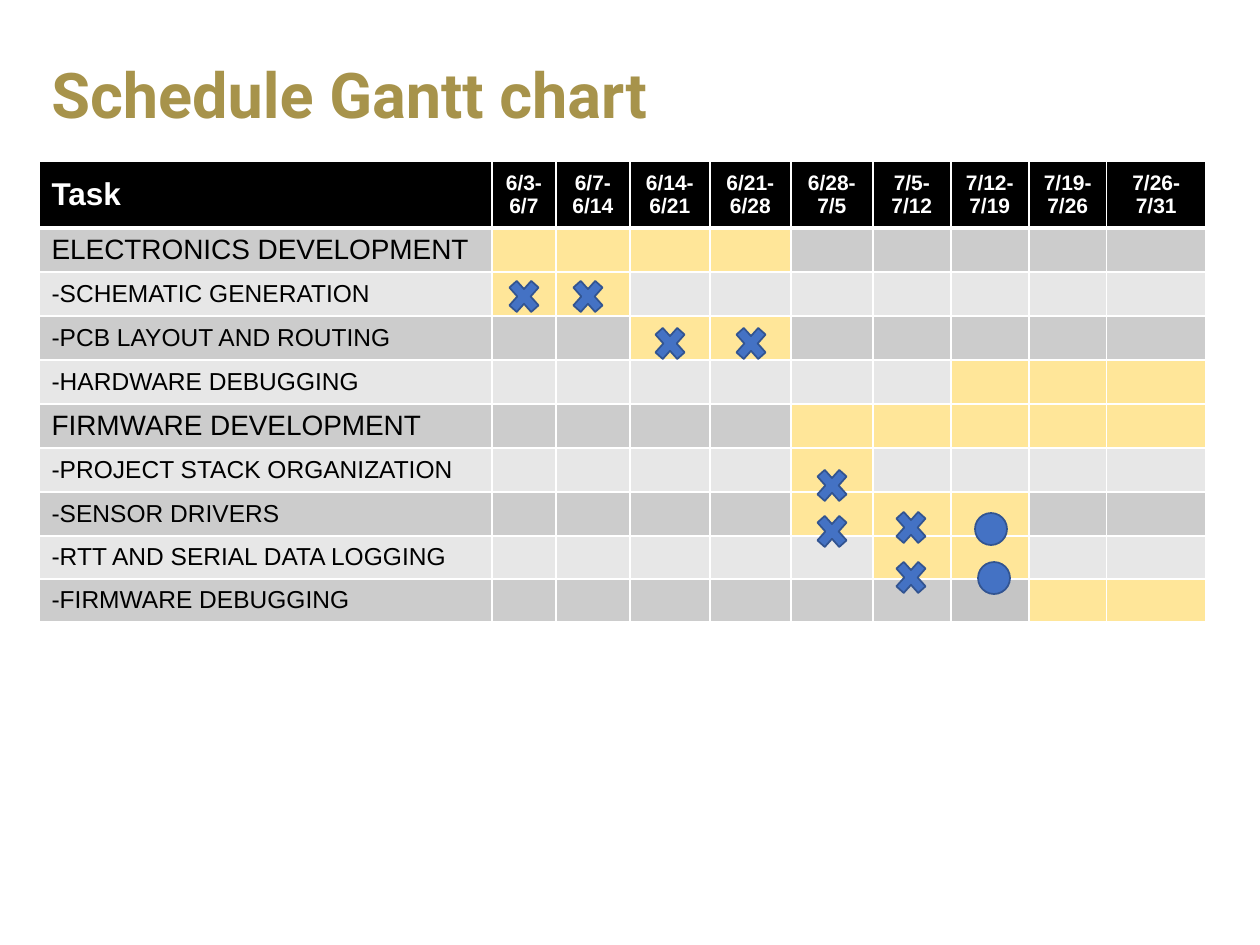
from typing import NamedTuple

from lxml.etree import SubElement
from pptx import Presentation
from pptx.dml.color import RGBColor
from pptx.enum.shapes import MSO_SHAPE
from pptx.enum.text import MSO_ANCHOR, PP_ALIGN
from pptx.oxml.ns import qn
from pptx.util import Pt

PX = 7258  # EMU per px, at 126 px to the inch

WHITE, BLACK, GOLD = "FFFFFF", "000000", "A7934B"
ACTIVE, BANDS = "FFE699", ("CCCCCC", "E7E7E7")
BLUE, DARK_BLUE = "4472C4", "325491"


class Task(NamedTuple):
    name: str
    first: int  # first and last active week, counted from 1
    last: int
    size: int = 14


class Marker(NamedTuple):
    kind: MSO_SHAPE
    x: int
    y: int
    w: int
    h: int


WEEKS = ["6/3-6/7", "6/7-6/14", "6/14-6/21", "6/21-6/28", "6/28-7/5",
         "7/5-7/12", "7/12-7/19", "7/19-7/26", "7/26-7/31"]
TASKS = [
    Task("ELECTRONICS DEVELOPMENT", 1, 4, 16),
    Task("-SCHEMATIC GENERATION", 1, 2),
    Task("-PCB LAYOUT AND ROUTING", 3, 4),
    Task("-HARDWARE DEBUGGING", 7, 9),
    Task("FIRMWARE DEVELOPMENT", 5, 9, 16),
    Task("-PROJECT STACK ORGANIZATION", 5, 5),
    Task("-SENSOR DRIVERS", 5, 7),
    Task("-RTT AND SERIAL DATA LOGGING", 6, 7),
    Task("-FIRMWARE DEBUGGING", 8, 9),
]
COL_WIDTHS = [453, 64, 74, 80, 81, 82, 78, 78, 78, 99]
ROW_HEIGHTS = [67] + [44] * 7 + [43] * 2

DONE = [(503, 273), (567, 273), (649, 320), (730, 320), (811, 462),
        (811, 508), (890, 554), (890, 504)]
IN_PROGRESS = [(978, 562), (975, 513)]
MARKERS = ([Marker(MSO_SHAPE.MATH_MULTIPLY, x, y, 42, 47) for x, y in DONE]
           + [Marker(MSO_SHAPE.OVAL, x, y, 32, 32) for x, y in IN_PROGRESS])


def px(n: int) -> int:
    return n * PX


def rgb(color: str) -> RGBColor:
    return RGBColor.from_string(color)


def write(tf, text: str, *, size: int, color: str = BLACK, bold: bool = False,
          font: str = "Arial", align=PP_ALIGN.LEFT, spacing: float = 1.0) -> None:
    p = tf.paragraphs[0]
    p.alignment = align
    p.line_spacing = spacing
    r = p.add_run()
    r.text = text
    r.font.name, r.font.size, r.font.bold = font, Pt(size), bold
    r.font.color.rgb = rgb(color)


def style_cell(cell, fill: str, top: int = 1, bottom: int = 1) -> None:
    """Set white borders (widths in points), the fill and the anchor."""
    tc_pr = cell._tc.get_or_add_tcPr()
    for side, width in (("L", 1), ("R", 1), ("T", top), ("B", bottom)):
        ln = SubElement(tc_pr, qn(f"a:ln{side}"), w=str(Pt(width)))
        SubElement(SubElement(ln, qn("a:solidFill")), qn("a:srgbClr"), val=WHITE)
    cell.fill.solid()
    cell.fill.fore_color.rgb = rgb(fill)
    cell.vertical_anchor = MSO_ANCHOR.MIDDLE
    cell.margin_top = cell.margin_bottom = 0


def add_title(s, text: str) -> None:
    tf = s.shapes.add_textbox(px(39), px(28), px(1182), px(140)).text_frame
    tf.word_wrap = True
    tf.vertical_anchor = MSO_ANCHOR.MIDDLE
    write(tf, text, size=36, color=GOLD, bold=True, font="Roboto", spacing=0.9)


def add_schedule(s) -> None:
    table = s.shapes.add_table(
        len(ROW_HEIGHTS), len(COL_WIDTHS), px(39), px(161),
        px(sum(COL_WIDTHS)), px(sum(ROW_HEIGHTS))).table
    for col, width in zip(table.columns, COL_WIDTHS):
        col.width = px(width)
    for row, height in zip(table.rows, ROW_HEIGHTS):
        row.height = px(height)

    for c, label in enumerate(["Task"] + WEEKS):
        cell = table.cell(0, c)
        style_cell(cell, BLACK, bottom=3)
        write(cell.text_frame, label, size=12 if c else 18, color=WHITE,
              bold=True, align=PP_ALIGN.CENTER if c else PP_ALIGN.LEFT)

    for i, task in enumerate(TASKS):
        for c in range(len(COL_WIDTHS)):
            fill = ACTIVE if task.first <= c <= task.last else BANDS[i % 2]
            style_cell(table.cell(i + 1, c), fill, top=1 if i else 3)
        write(table.cell(i + 1, 0).text_frame, task.name, size=task.size)
    table.cell(len(TASKS), 7).fill.fore_color.rgb = rgb("C5C5C5")


def add_marker(s, m: Marker) -> None:
    sp = s.shapes.add_shape(m.kind, px(m.x), px(m.y), px(m.w), px(m.h))
    sp.shadow.inherit = False
    sp.fill.solid()
    sp.fill.fore_color.rgb = rgb(BLUE)
    sp.line.color.rgb = rgb(DARK_BLUE)
    sp.line.width = Pt(1)


def main() -> None:
    prs = Presentation()
    prs.slide_width, prs.slide_height = px(1260), px(945)
    s = prs.slides.add_slide(prs.slide_layouts[6])
    add_title(s, "Schedule Gantt chart")
    add_schedule(s)
    for marker in MARKERS:
        add_marker(s, marker)
    prs.save("out.pptx")


if __name__ == "__main__":
    main()
